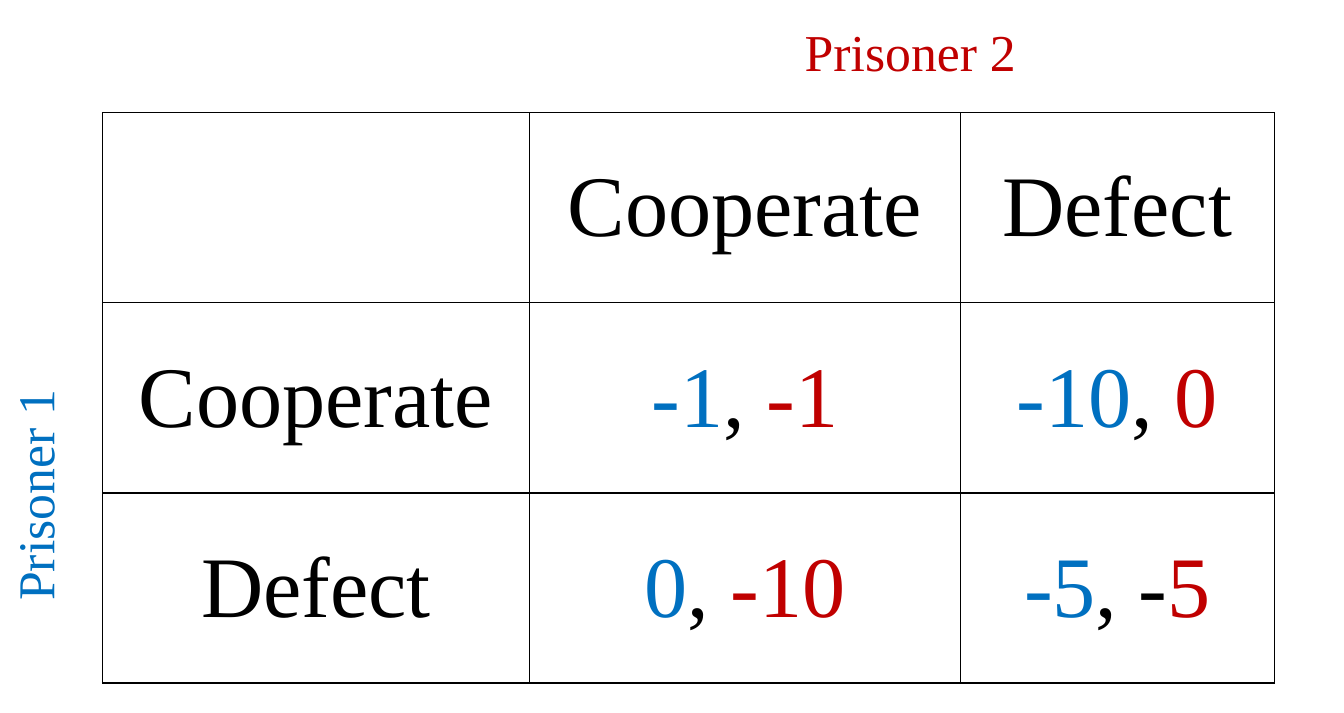
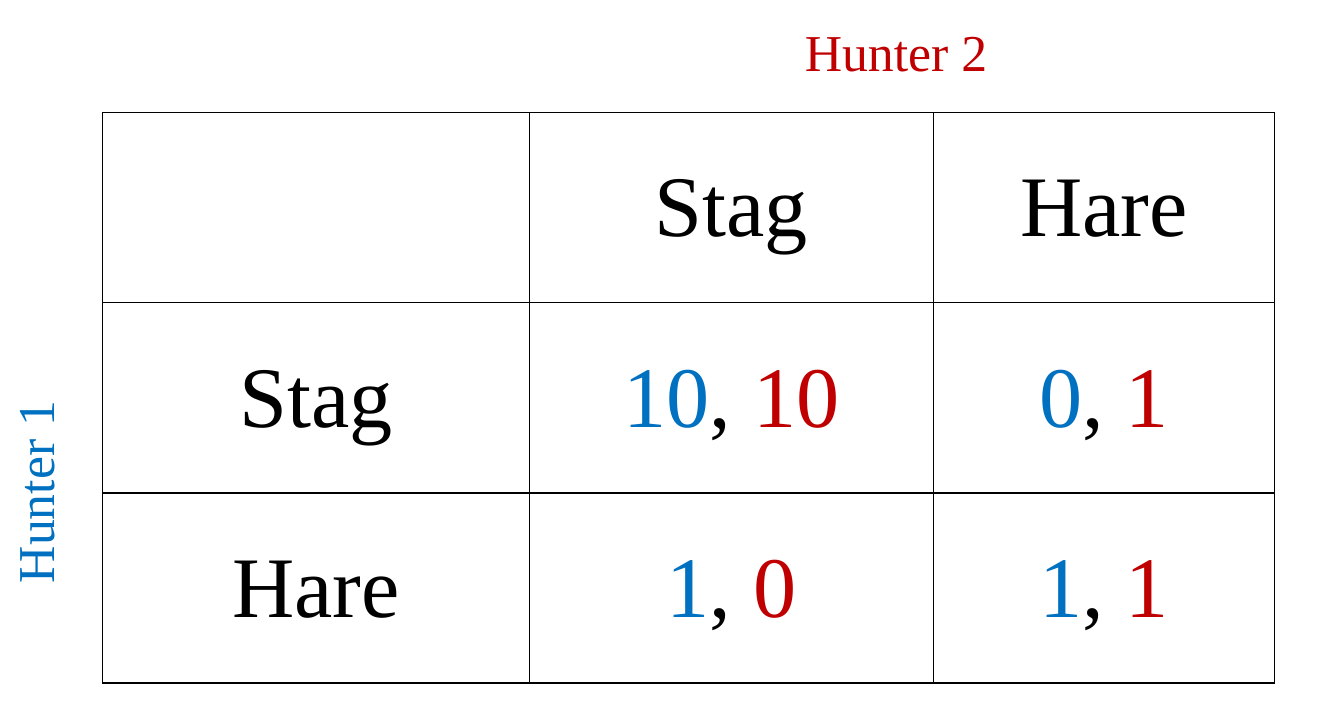
from dataclasses import dataclass

from lxml import etree
from pptx import Presentation
from pptx.dml.color import RGBColor
from pptx.enum.text import MSO_ANCHOR, MSO_AUTO_SIZE, PP_ALIGN
from pptx.oxml.ns import qn
from pptx.util import Inches, Pt

MIDDLE = MSO_ANCHOR.MIDDLE
CENTER = PP_ALIGN.CENTER
GROW = MSO_AUTO_SIZE.SHAPE_TO_FIT_TEXT


@dataclass(frozen=True)
class Theme:
    """Colours, font and type sizes of the deck."""
    ink: str = "000000"
    row: str = "0070C0"
    col: str = "C00000"
    paper: str = "FFFFFF"
    font: str = "Times New Roman"
    cell: int = 60
    label: int = 36
    line: int = 1


THEME = Theme()


def assign(target, values):
    """Set each attribute named in a dict."""
    for name, value in values.items():
        setattr(target, name, value)


def payoff(first, second, gap=", "):
    """Return the coloured runs of one outcome."""
    return [(first, THEME.row), (gap, THEME.ink), (second, THEME.col)]


class Deck:
    """Holds the style and the current slide."""

    def __init__(self, theme, width, height):
        """Start an empty deck of the given size."""
        self.theme = theme
        self.file = Presentation()
        assign(self.file, {"slide_width": Inches(width),
                           "slide_height": Inches(height)})
        self.slide = None

    def page(self):
        """Add a blank slide and make it current."""
        self.slide = self.file.slides.add_slide(self.file.slide_layouts[6])
        fill = self.slide.background.fill
        fill.solid()
        fill.fore_color.rgb = RGBColor.from_string(self.theme.paper)

    def text(self, para, runs, size):
        """Add coloured runs to a paragraph."""
        for words, color in runs:
            run = para.add_run()
            run.text = words
            assign(run.font, {"name": self.theme.font, "size": Pt(size)})
            run.font.color.rgb = RGBColor.from_string(color)

    def label(self, name, color, left, top, width, turn=0):
        """Add a player's name on one line."""
        box = self.slide.shapes.add_textbox(
            Inches(left), Inches(top), Inches(width), Inches(0.71))
        box.rotation = turn
        assign(box.text_frame, {"word_wrap": False, "auto_size": GROW})
        self.text(box.text_frame.paragraphs[0], [(name, color)],
                  self.theme.label)

    def border(self, cell):
        """Draw a thin line on all four sides of a cell."""
        props = cell._tc.get_or_add_tcPr()
        for side in ("a:lnL", "a:lnR", "a:lnT", "a:lnB"):
            line = etree.SubElement(props, qn(side),
                                    w=str(Pt(self.theme.line)))
            fill = etree.SubElement(line, qn("a:solidFill"))
            etree.SubElement(fill, qn("a:srgbClr"), val=self.theme.ink)

    def matrix(self, moves, games, widths):
        """Add a payoff table with moves heading rows and columns."""
        heads = [[(move, self.theme.ink)] for move in moves]
        rows = [[[], *heads]]
        rows += [[head, *game] for head, game in zip(heads, games)]
        table = self.slide.shapes.add_table(
            len(rows), len(widths), Inches(0.99), Inches(1.09),
            Inches(sum(widths)), Inches(5.51)).table
        assign(table, {"first_row": False, "horz_banding": False})
        for col, width in zip(table.columns, widths):
            col.width = Inches(width)
        for y, row in enumerate(rows):
            for x, runs in enumerate(row):
                cell = table.cell(y, x)
                self.border(cell)
                cell.fill.background()
                cell.vertical_anchor = MIDDLE
                para = cell.text_frame.paragraphs[0]
                para.alignment = CENTER
                self.text(para, runs, self.theme.cell)

    def game(self, player, span, moves, games, widths):
        """Build one slide: the table and both players' names."""
        self.page()
        self.matrix(moves, games, widths)
        self.label(f"{player} 2", self.theme.col, 7.68, 0.14, span)
        self.label(f"{player} 1", self.theme.row, 0.33 - span / 2, 4.32,
                   span, turn=270)


def main():
    """Build and save both games."""
    deck = Deck(THEME, 12.99, 6.89)
    deck.game("Prisoner", 2.46, ["Cooperate", "Defect"],
              [[payoff("-1", "-1"), payoff("-10", "0")],
               [payoff("0", "-10"), payoff("-5", "5", gap=", -")]],
              [4.13, 4.16, 3.04])
    deck.game("Hunter", 2.12, ["Stag", "Hare"],
              [[payoff("10", "10"), payoff("0", "1")],
               [payoff("1", "0"), payoff("1", "1")]],
              [4.13, 3.9, 3.3])
    deck.file.save("out.pptx")


main()
